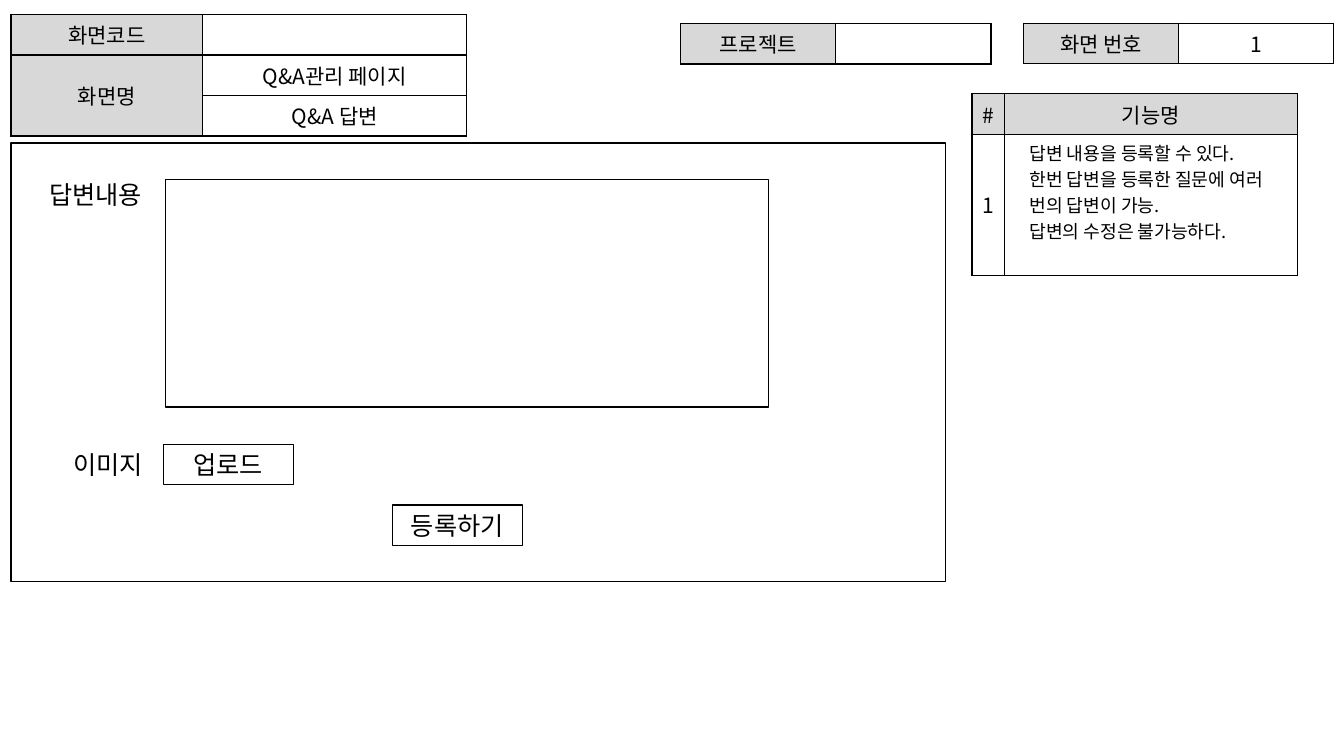
from dataclasses import dataclass

import pptx
import pptx.dml.color
import pptx.enum.shapes
import pptx.enum.text
import pptx.oxml
import pptx.oxml.ns
import pptx.util

Inches = pptx.util.Inches
Pt = pptx.util.Pt
Align = pptx.enum.text.PP_ALIGN
Anchor = pptx.enum.text.MSO_ANCHOR

BLACK = pptx.dml.color.RGBColor(0x00, 0x00, 0x00)
WHITE = pptx.dml.color.RGBColor(0xFF, 0xFF, 0xFF)
GRAY = pptx.dml.color.RGBColor(0xD8, 0xD8, 0xD8)
FONT = "Noto Sans CJK KR"
HEADING_SIZE = 15
DETAIL_SIZE = 13
FORM_SIZE = 18


@dataclass(frozen=True)
class Grid:
    left: float
    top: float
    columns: tuple[float, ...]
    rows: tuple[float, ...]
    texts: tuple[tuple[str, ...], ...]
    gray_cells: tuple[tuple[int, int], ...] = ((0, 0),)
    merged: tuple[tuple[int, int], ...] = ()
    detail_cells: tuple[tuple[int, int], ...] = ()


@dataclass(frozen=True)
class Box:
    left: float
    top: float
    width: float
    height: float
    text: str = ""


FEATURE_DETAIL = (
    "답변 내용을 등록할 수 있다.\n"
    "한번 답변을 등록한 질문에 여러 번의 답변이 가능.\n"
    "답변의 수정은 불가능하다."
)

GRIDS = (
    Grid(0.11, 0.14, (1.9, 2.62), (0.4, 0.4, 0.4),
         (("화면코드", ""), ("화면명", "Q&A관리 페이지"), ("", "Q&A 답변")),
         gray_cells=((0, 0), (1, 0), (2, 0)), merged=((1, 0), (2, 0))),
    Grid(10.15, 0.23, (1.54, 1.54), (0.4,), (("화면 번호", "1"),)),
    Grid(6.75, 0.23, (1.54, 1.54), (0.4,), (("프로젝트", ""),)),
    Grid(9.64, 0.93, (0.32, 2.91), (0.4, 1.4),
         (("#", "기능명"), ("1", FEATURE_DETAIL)),
         gray_cells=((0, 0), (0, 1)), detail_cells=((1, 1),)),
)

FRAMES = (
    Box(0.11, 1.42, 9.27, 4.35),
    Box(1.64, 1.78, 5.98, 2.26),
    Box(1.62, 4.41, 1.29, 0.4, "업로드"),
    Box(3.89, 5.01, 1.29, 0.4, "등록하기"),
)

LABELS = (
    Box(0.39, 1.73, 1.24, 0.4, "답변내용"),
    Box(0.63, 4.41, 0.98, 0.4, "이미지"),
)


def write_text(frame: pptx.text.text.TextFrame, text: str, *, size: float,
               align: Align = Align.CENTER, indent: float = 0) -> None:
    for index, line in enumerate(text.split("\n")):
        paragraph = frame.add_paragraph() if index else frame.paragraphs[0]
        paragraph.alignment = align
        if indent:
            paragraph._p.get_or_add_pPr().set("marL", str(Inches(indent)))
        run = paragraph.add_run()
        run.text = line
        run.font.size = Pt(size)
        run.font.name = FONT
        run.font.color.rgb = BLACK
        east_asian = pptx.oxml.parse_xml(
            f'<a:ea {pptx.oxml.ns.nsdecls("a")} typeface="{FONT}"/>')
        run._r.get_or_add_rPr().find(pptx.oxml.ns.qn("a:latin")).addnext(east_asian)


def add_borders(cell: pptx.table._Cell) -> None:
    properties = cell._tc.get_or_add_tcPr()
    for side in ("lnL", "lnR", "lnT", "lnB"):
        properties.append(pptx.oxml.parse_xml(
            f'<a:{side} {pptx.oxml.ns.nsdecls("a")} w="{Pt(1)}">'
            f'<a:solidFill><a:srgbClr val="{BLACK}"/></a:solidFill></a:{side}>'))


def draw_grid(slide: pptx.slide.Slide, grid: Grid) -> None:
    table = slide.shapes.add_table(
        len(grid.rows), len(grid.columns), Inches(grid.left), Inches(grid.top),
        Inches(sum(grid.columns)), Inches(sum(grid.rows))).table
    table.first_row = False
    table.horz_banding = False
    for column, width in zip(table.columns, grid.columns):
        column.width = Inches(width)
    for row, height in zip(table.rows, grid.rows):
        row.height = Inches(height)
    if grid.merged:
        first, last = grid.merged
        table.cell(*first).merge(table.cell(*last))
    for r, row_texts in enumerate(grid.texts):
        for c, text in enumerate(row_texts):
            cell = table.cell(r, c)
            add_borders(cell)
            cell.fill.solid()
            cell.fill.fore_color.rgb = GRAY if (r, c) in grid.gray_cells else WHITE
            if (r, c) in grid.detail_cells:
                write_text(cell.text_frame, text, size=DETAIL_SIZE,
                           align=Align.LEFT, indent=0.15)
            elif text:
                cell.vertical_anchor = Anchor.MIDDLE
                write_text(cell.text_frame, text, size=HEADING_SIZE)


def draw_frame(slide: pptx.slide.Slide, box: Box) -> None:
    frame = slide.shapes.add_shape(
        pptx.enum.shapes.MSO_SHAPE.RECTANGLE, Inches(box.left), Inches(box.top),
        Inches(box.width), Inches(box.height))
    frame.shadow.inherit = False
    frame.fill.background()
    frame.line.color.rgb = BLACK
    frame.line.width = Pt(1)
    if box.text:
        frame.text_frame.vertical_anchor = Anchor.MIDDLE
        write_text(frame.text_frame, box.text, size=FORM_SIZE)


def draw_label(slide: pptx.slide.Slide, box: Box) -> None:
    label = slide.shapes.add_textbox(
        Inches(box.left), Inches(box.top), Inches(box.width), Inches(box.height))
    label.text_frame.word_wrap = True
    label.text_frame.auto_size = pptx.enum.text.MSO_AUTO_SIZE.SHAPE_TO_FIT_TEXT
    write_text(label.text_frame, box.text, size=FORM_SIZE, align=Align.LEFT)


def main() -> None:
    deck = pptx.Presentation()
    deck.slide_width = Inches(13.33)
    deck.slide_height = Inches(7.5)
    slide = deck.slides.add_slide(deck.slide_layouts[6])
    for grid in GRIDS:
        draw_grid(slide, grid)
    for box in FRAMES:
        draw_frame(slide, box)
    for box in LABELS:
        draw_label(slide, box)
    deck.save("out.pptx")


if __name__ == "__main__":
    main()
